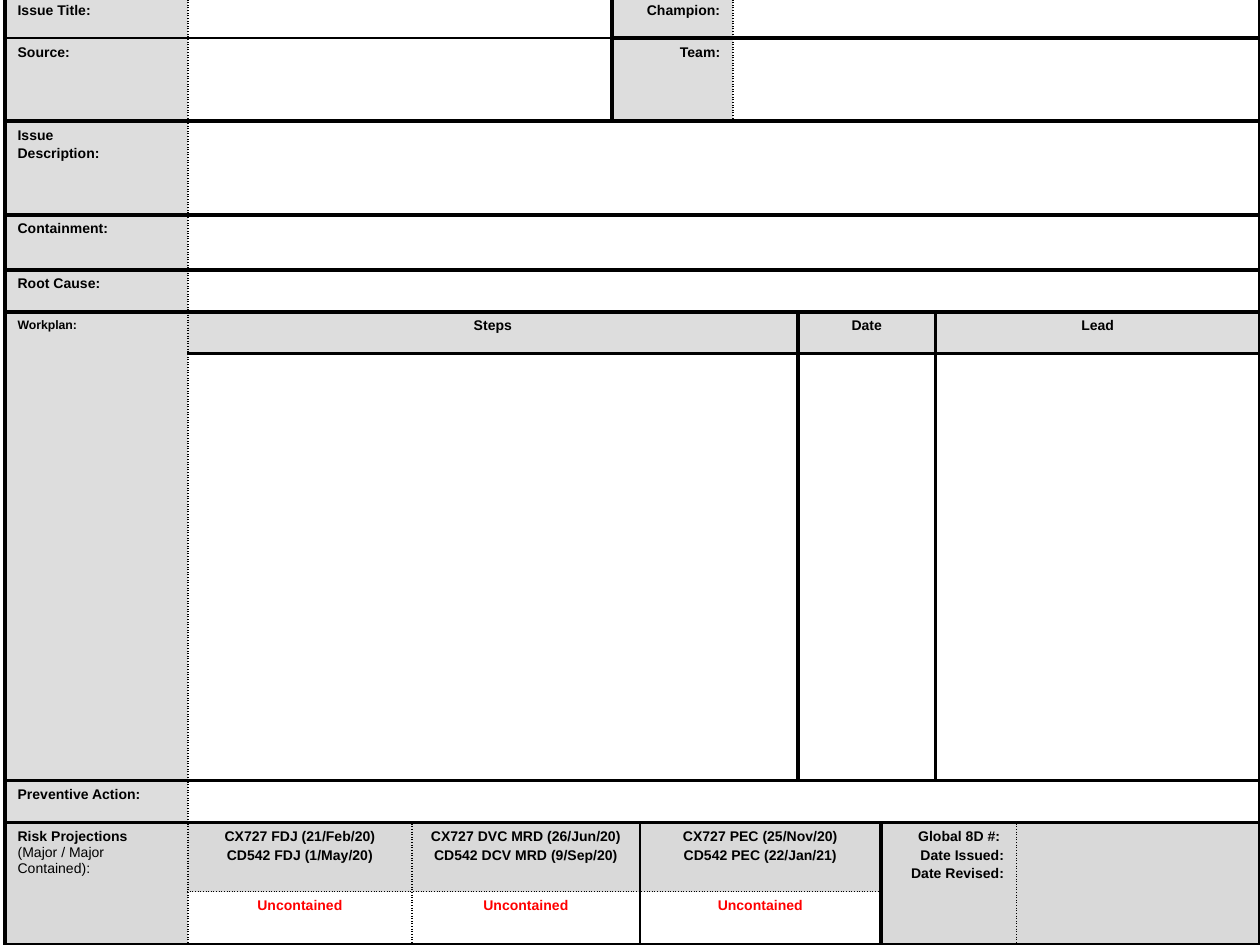
import dataclasses

import lxml.etree
import pptx
import pptx.dml.color
import pptx.enum.text
import pptx.oxml.ns
import pptx.table
import pptx.util

PX = 914400 // 126
WIDTHS = [183, 224, 200, 28, 93, 65, 83, 55, 81, 243]
HEIGHTS = [42, 83, 94, 55, 42, 42, 427, 42, 69, 53]
LABEL, HEAD = "DDDDDD", "D9D9D9"
BLACK, RED = "000000", "FF0000"
LEFT, MID, RIGHT = (
    pptx.enum.text.PP_ALIGN.LEFT,
    pptx.enum.text.PP_ALIGN.CENTER,
    pptx.enum.text.PP_ALIGN.RIGHT,
)
# Edge codes: T thick, n thin, d dotted.
PENS = {"T": (2.25, "solid"), "n": (1, "solid"), "d": (1, "sysDot")}


@dataclasses.dataclass
class Cell:
    """One cell of the form; edges lists left, top, right and bottom."""

    row: int
    col: int
    text: str = ""
    fill: str = ""
    cols: int = 1
    rows: int = 1
    edges: str = "dTTT"
    align: pptx.enum.text.PP_ALIGN = LEFT
    size: int = 8
    color: str = BLACK
    gap: float = 1.6
    light: bool = False  # lines after the first are not bold


def label(row: int, text: str, edges: str = "TTdT", **more) -> Cell:
    return Cell(row, 0, text, LABEL, edges=edges, **more)


def side(row: int, text: str) -> Cell:
    return Cell(row, 3, text, LABEL, 2, edges="TTdT", align=RIGHT)


def head(col: int, text: str, cols: int, edges: str) -> Cell:
    return Cell(5, col, text, LABEL, cols, edges=edges, align=MID)


def risk(col: int, text: str, cols: int, left: str, right: str) -> list[Cell]:
    """A risk heading with its status below."""
    return [
        Cell(8, col, text, HEAD, cols, edges=f"{left}T{right}d", align=MID),
        Cell(9, col, "Uncontained", cols=cols, edges=f"{left}d{right}T",
             align=MID, color=RED),
    ]


CELLS = [
    label(0, "Issue Title:", "TTdn"),
    Cell(0, 1, cols=2, edges="dTTn"),
    side(0, "Champion:"),
    label(1, "Source:", "TndT"),
    Cell(1, 1, cols=2, edges="dnTT"),
    side(1, "Team:"),
    *[Cell(row, 5, cols=5) for row in (0, 1)],
    label(2, "Issue\nDescription:"),
    label(3, "Containment:"),
    label(4, "Root Cause:"),
    label(7, "Preventive Action:"),
    *[Cell(row, 1, cols=9) for row in (2, 3, 4, 7)],
    label(5, "Workplan:", rows=2, size=7),
    head(1, "Steps", 5, "dTTT"),
    head(6, "Date", 2, "TTTT"),
    head(8, "Lead", 2, "TTTT"),
    Cell(6, 1, cols=5),
    *[Cell(6, col, cols=2, edges="TTTT") for col in (6, 8)],
    Cell(8, 0, "Risk Projections\n(Major / Major Contained):", HEAD, rows=2,
         edges="TTdT", gap=0, light=True),
    *risk(1, "CX727 FDJ (21/Feb/20)\nCD542 FDJ (1/May/20)", 1, "d", "d"),
    *risk(2, "CX727 DVC MRD (26/Jun/20)\nCD542 DCV MRD (9/Sep/20)", 2, "d", "n"),
    *risk(4, "CX727 PEC (25/Nov/20)\nCD542 PEC (22/Jan/21)", 3, "n", "T"),
    Cell(8, 7, "Global 8D #: \nDate Issued:\nDate Revised:", HEAD, 2, 2,
         edges="TTdT", align=RIGHT),
    Cell(8, 9, fill=HEAD, rows=2),
]


def paint(code: str) -> pptx.dml.color.RGBColor:
    return pptx.dml.color.RGBColor.from_string(code)


def node(base, tag: str, **attrs: str):
    return lxml.etree.SubElement(base, pptx.oxml.ns.qn(f"a:{tag}"), **attrs)


def rule(spot: pptx.table._Cell, edges: str) -> None:
    """Draw the four borders, in the order the schema asks for."""
    props = spot._tc.get_or_add_tcPr()
    left, top, right, base = edges
    for mark, code in zip("LRTB", (left, right, top, base)):
        width, dash = PENS[code]
        line = node(props, f"ln{mark}", w=str(pptx.util.Pt(width)))
        node(node(line, "solidFill"), "srgbClr", val=BLACK)
        node(line, "prstDash", val=dash)


def write(spot: pptx.table._Cell, cell: Cell) -> None:
    frame = spot.text_frame
    frame.text = cell.text
    for rank, para in enumerate(frame.paragraphs):
        para.alignment = cell.align
        if rank:
            para.space_before = pptx.util.Pt(cell.gap)
        font = para.font
        font.name = "Arial"
        font.size = pptx.util.Pt(cell.size)
        font.bold = not (cell.light and rank)
        font.color.rgb = paint(cell.color)
        if not cell.text:
            # Keeps a blank cell from stretching its row.
            node(para._p, "endParaRPr", sz=str(cell.size * 100))


def draw(table: pptx.table.Table, cell: Cell) -> None:
    last_row, last_col = cell.row + cell.rows, cell.col + cell.cols
    first = table.cell(cell.row, cell.col)
    if cell.rows * cell.cols > 1:
        first.merge(table.cell(last_row - 1, last_col - 1))
    for row in range(cell.row, last_row):
        for col in range(cell.col, last_col):
            spot = table.cell(row, col)
            rule(spot, cell.edges)
            if cell.fill:
                spot.fill.solid()
                spot.fill.fore_color.rgb = paint(cell.fill)
            else:
                spot.fill.background()
    write(first, cell)


def main() -> None:
    deck = pptx.Presentation()
    deck.slide_width = pptx.util.Inches(10)
    deck.slide_height = pptx.util.Inches(7.5)
    slide = deck.slides.add_slide(deck.slide_layouts[6])
    table = slide.shapes.add_table(
        len(HEIGHTS), len(WIDTHS), 5 * PX, -4 * PX,
        sum(WIDTHS) * PX, sum(HEIGHTS) * PX,
    ).table
    table.first_row = table.horz_banding = False
    for col, width in zip(table.columns, WIDTHS):
        col.width = width * PX
    for row, height in zip(table.rows, HEIGHTS):
        row.height = height * PX
    for cell in CELLS:
        draw(table, cell)
    deck.save("out.pptx")


if __name__ == "__main__":
    main()
